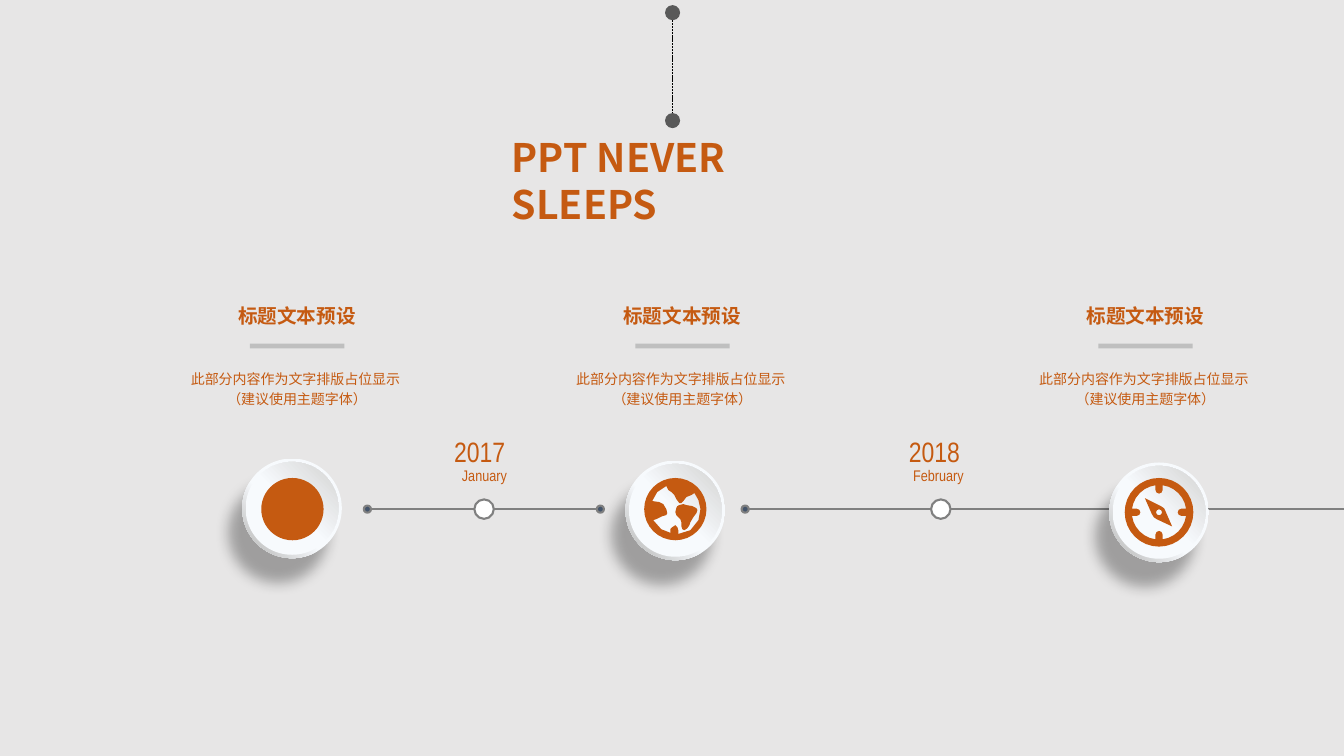
from copy import deepcopy
from math import asin, cos, degrees, radians, sin

from lxml import etree
from pptx import Presentation
from pptx import util as u
from pptx.dml.color import RGBColor
from pptx.enum import dml, shapes, text
from pptx.oxml.ns import qn

Cm, Pt = u.Cm, u.Pt
BACKGROUND = RGBColor(0xE7, 0xE6, 0xE6)
ORANGE = RGBColor(0xC5, 0x5A, 0x11)
SILVER = RGBColor(0xBF, 0xBF, 0xBF)
GREY = RGBColor(0x80, 0x80, 0x80)
CHARCOAL = RGBColor(0x59, 0x59, 0x59)
NAVY = RGBColor(0x44, 0x54, 0x6A)
WHITE = RGBColor(0xFF, 0xFF, 0xFF)
BLACK = RGBColor(0, 0, 0)
PEARL = RGBColor(0xF7, 0xFA, 0xFD)
MIST = RGBColor(0xD9, 0xD9, 0xD9)
STEEL = RGBColor(0xA6, 0xA6, 0xA6)
CHINESE_FONT, DATE_FONT = "Noto Sans CJK SC", "Arial Narrow"
AXIS_Y = 12.83

# Outlines around each icon's centre
OCEAN = [(2, 25), (3, 24), (3, 21), (2, 18), (0, 16), (-3, 18), (-5, 20), (-5, 23), (-4, 24),
         (-14, 20), (-22, 11), (-19, 10), (-13, 7), (-9, 6), (-8, 4), (-9, 0), (-12, -5), (-16, -7),
         (-23, -8), (-18, -17), (-9, -23), (-7, -19), (-4, -17), (-1, -14), (1, -10), (4, -6),
         (6, -6), (8, -8), (11, -12), (16, -14), (19, -16), (23, -9), (25, 0), (23, 11), (15, 21)]
CONTINENT = [(17, -3), (11, -4), (8, -5), (4, -4), (2, -3), (1, -1), (0, 3), (1, 6), (5, 10),
             (6, 13), (6, 17), (7, 20), (9, 21), (12, 19), (14, 16), (15, 13), (18, 8), (21, 4),
             (22, 1), (21, -1)]
NEEDLE = [(-14, -14), (2, -6), (5, -4), (6, -2), (13, 14), (-2, 7), (-5, 5), (-7, 2)]


def write(frame, words, size, font=CHINESE_FONT, bold=False, align=text.PP_ALIGN.CENTER,
          anchor=text.MSO_ANCHOR.TOP, spacing=None, wrap=True, margins=(0, 0)):
    frame.word_wrap, frame.auto_size = wrap, text.MSO_AUTO_SIZE.NONE
    frame.vertical_anchor = anchor
    frame.margin_left = frame.margin_right = Cm(margins[0])
    frame.margin_top = frame.margin_bottom = Cm(margins[1])
    paragraph = frame.paragraphs[0]
    paragraph.text = words
    paragraph.alignment, paragraph.line_spacing = align, spacing
    for run in paragraph.runs:
        run.font.size, run.font.bold, run.font.name = Pt(size), bold, font
        run.font.color.rgb = ORANGE
        properties = run.font._element
        east_asian = etree.Element(qn("a:ea"), typeface=font)
        properties.find(qn("a:latin")).addnext(east_asian)
    for line_break in paragraph._p.findall(qn("a:br")):
        line_break.insert(0, deepcopy(properties))


def add_text(slide, left, top, width, height, words, size, **style):
    box = slide.shapes.add_textbox(Cm(left), Cm(top), Cm(width), Cm(height))
    write(box.text_frame, words, size, **style)


def add_plain(slide, kind, left, top, width, height, fill=None, line=None):
    shape = slide.shapes.add_shape(kind, Cm(left), Cm(top), Cm(width), Cm(height))
    shape.shadow.inherit = False
    if fill is not None:
        shape.fill.solid()
        shape.fill.fore_color.rgb = fill
    if line is None:
        shape.line.fill.background()
    else:
        shape.line.color.rgb, shape.line.width = line, Pt(1.5)
    return shape


def add_circle(slide, x, y, diameter, fill=None, line=None):
    return add_plain(slide, shapes.MSO_SHAPE.OVAL, x - diameter / 2, y - diameter / 2,
                     diameter, diameter, fill, line)


def add_line(slide, x1, y1, x2, y2, color, width):
    line = slide.shapes.add_connector(shapes.MSO_CONNECTOR.STRAIGHT, Cm(x1), Cm(y1), Cm(x2), Cm(y2))
    line.line.color.rgb, line.line.width = color, Pt(width)
    etree.SubElement(line._element.spPr, qn("a:effectLst"))
    return line


def set_gradient(shape, angle, stops):
    shape.fill.gradient()
    shape.fill.gradient_angle = 360 - angle
    stop_list = shape._element.spPr.find(qn("a:gradFill")).find(qn("a:gsLst"))
    stop_list.append(deepcopy(stop_list[-1]))
    for stop, (position, color) in zip(shape.fill.gradient_stops, stops):
        stop.position, stop.color.rgb = position, color


def add_cast_shadow(shape):
    effects = shape._element.spPr.find(qn("a:effectLst"))
    shadow = etree.SubElement(effects, qn("a:outerShdw"), blurRad=str(Pt(10)), dist=str(Pt(20)),
                              dir=str(120 * 60000), algn="ctr", rotWithShape="0")
    color = etree.SubElement(shadow, qn("a:srgbClr"), val=str(BLACK))
    etree.SubElement(color, qn("a:alpha"), val="31000")


def arc(radius, start=0, end=360, x=0, steps=32):
    angles = [radians(start + (end - start) * i / steps) for i in range(steps + 1)]
    return [(x + radius * cos(a), radius * sin(a)) for a in angles]


def compass_face():
    """Outline of the dial opening, with a rounded tick at each quarter."""
    radius, half_tick, tick_centre = 27, 3.5, 22
    gap = degrees(asin(half_tick / radius))
    quarter = arc(half_tick, 270, 90, tick_centre, steps=4) + arc(radius, gap, 90 - gap, steps=6)
    turns = ((1, 0), (0, 1), (-1, 0), (0, -1))
    return [(x * c - y * s, x * s + y * c) for c, s in turns for x, y in quarter]


def add_icon(slide, x, y, radius, size, contours):
    """Fill contours, drawn around (0, 0) within the radius, at a size in cm."""
    fine = 100
    builder = None
    for contour in contours:
        points = [(px * fine, py * fine) for px, py in contour]
        if builder is None:
            builder = slide.shapes.build_freeform(*points[0], scale=Cm(size) / (2 * radius * fine))
        else:
            builder.move_to(*points[0])
        builder.add_line_segments(points[1:], close=True)
    icon = builder.convert_to_shape(Cm(x), Cm(y))
    icon.shadow.inherit = False
    icon.fill.solid()
    icon.fill.fore_color.rgb = ORANGE
    icon.line.fill.background()


def add_disc(slide, x, y):
    rim = add_circle(slide, x, y, 2.51)
    set_gradient(rim, 135, [(0.57, PEARL), (0.92, SILVER), (1, STEEL)])
    add_cast_shadow(rim)
    set_gradient(add_circle(slide, x, y, 2.34), 315, [(0.49, PEARL), (0.92, MIST), (1, SILVER)])


def add_header(slide):
    x, top, bottom, dot = 16.95, 0.32, 3.04, 0.38
    title = slide.shapes.title
    title.left, title.top, title.width, title.height = Cm(12.65), Cm(3.23), Cm(8.56), Cm(1.45)
    write(title.text_frame, "PPT NEVER SLEEPS", 28, bold=True, align=text.PP_ALIGN.LEFT,
          spacing=1.0, margins=(0.25, 0.13))
    for y in (top, bottom):
        add_circle(slide, x, y, dot, CHARCOAL)
    stem = add_line(slide, x, top + dot / 2, x, bottom - dot / 2, BLACK, 0.5)
    stem.line.dash_style = dml.MSO_LINE.SQUARE_DOT
    stem.line._ln.find(qn("a:prstDash")).set("val", "sysDash")


def add_timeline(slide, start, end, dots, ring, year, month):
    """Draw a line with dots and a ring; year and month are (words, centre)."""
    add_line(slide, start, AXIS_Y, end, AXIS_Y, GREY, 1.5)
    for x in dots:
        add_circle(slide, x, AXIS_Y, 0.18, NAVY, GREY)
    add_circle(slide, ring, AXIS_Y, 0.49, WHITE, GREY)
    for (words, centre), size, top, height in ((year, 20, 10.82, 1.12), (month, 11, 11.62, 0.74)):
        add_text(slide, centre - 0.95, top, 1.9, height, words, size, font=DATE_FONT,
                 wrap=False, margins=(0.25, 0.13))


def add_column(slide, left, top, width):
    add_text(slide, left, top, width, 0.61, "标题文本预设", 14, bold=True,
             anchor=text.MSO_ANCHOR.MIDDLE, wrap=False)
    add_plain(slide, shapes.MSO_SHAPE.RECTANGLE, left + 1.8, top + 1.01, 2.38, 0.12, SILVER)
    add_text(slide, left, top + 1.6, width, 1.47,
             "此部分内容作为文字排版占位显示 \v（建议使用主题字体）", 10, spacing=1.2)


def main():
    presentation = Presentation()
    presentation.slide_width, presentation.slide_height = Cm(33.87), Cm(19.05)
    slide = presentation.slides.add_slide(presentation.slide_layouts[5])
    slide.background.fill.solid()
    slide.background.fill.fore_color.rgb = BACKGROUND
    add_timeline(slide, 9.2, 15.16, (9.26, 15.13), 12.2, ("2017", 12.09), ("January", 12.21))
    add_timeline(slide, 18.8, 33.87, (18.78,), 23.71, ("2018", 23.55), ("February", 23.65))
    for left, x, y in ((4.5, 7.36, 12.81), (14.21, 17.02, 12.86), (25.88, 29.21, 12.91)):
        add_column(slide, left, 7.65, 5.97)
        add_disc(slide, x, y)
    add_circle(slide, 7.37, AXIS_Y, 1.57, ORANGE)
    add_icon(slide, 17.02, AXIS_Y, 31, 1.57, [arc(31), OCEAN, CONTINENT])
    add_icon(slide, 29.21, 12.91, 34, 1.73, [arc(34), compass_face(), NEEDLE, arc(3, steps=8)])
    add_header(slide)
    presentation.save("out.pptx")


if __name__ == "__main__":
    main()
